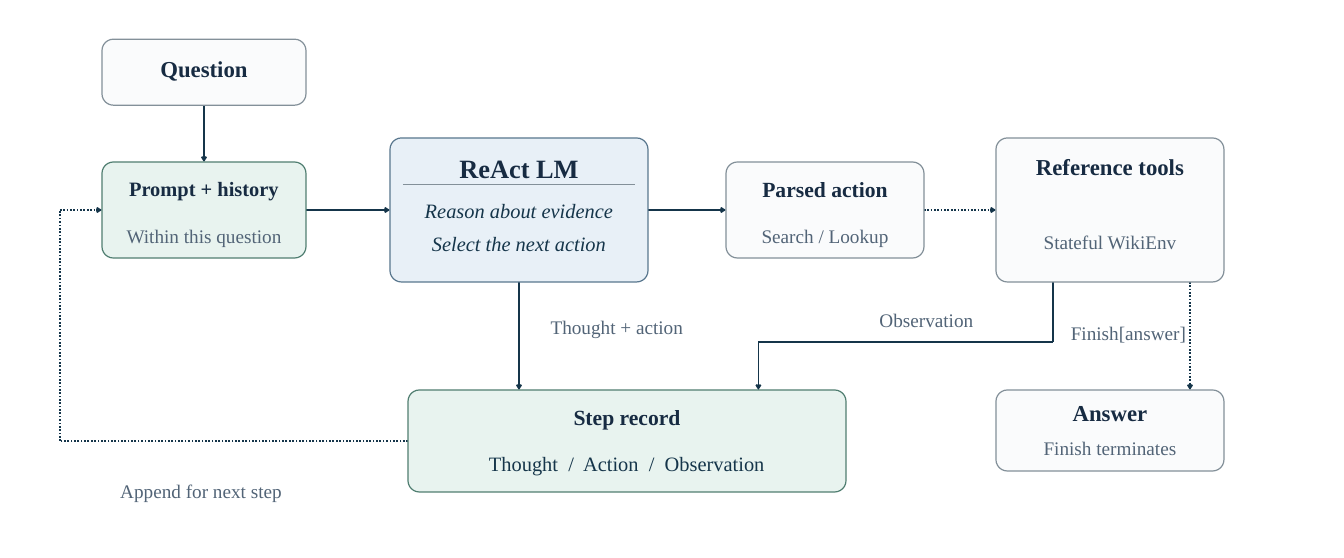
from dataclasses import dataclass
from itertools import pairwise

from lxml import etree
from pptx import Presentation
from pptx.dml.color import RGBColor
from pptx.enum.dml import MSO_LINE
from pptx.enum.shapes import MSO_CONNECTOR, MSO_SHAPE
from pptx.enum.text import MSO_ANCHOR, PP_ALIGN
from pptx.oxml.ns import qn
from pptx.util import Pt

STRAIGHT = MSO_CONNECTOR.STRAIGHT
ROUNDED = MSO_SHAPE.ROUNDED_RECTANGLE
DOTTED = MSO_LINE.ROUND_DOT
MIDDLE = MSO_ANCHOR.MIDDLE
CENTER = PP_ALIGN.CENTER

INK = RGBColor(0x17, 0x2B, 0x42)
FLOW = RGBColor(0x15, 0x35, 0x4A)
MUTED = RGBColor(0x52, 0x64, 0x77)
GRAY = RGBColor(0x83, 0x90, 0x99)
PAPER = RGBColor(0xFA, 0xFB, 0xFC)
GREEN = RGBColor(0x50, 0x7E, 0x71)
MINT = RGBColor(0xE8, 0xF3, 0xEF)
BLUE = RGBColor(0x59, 0x77, 0x8E)
SKY = RGBColor(0xE8, 0xF0, 0xF7)

FONT = "Times New Roman"
CORNER = 14.25
TEXT_INSET = 13.5


@dataclass
class Box:
    left: float
    top: float
    width: float
    height: float

    @property
    def right(self):
        return self.left + self.width

    @property
    def bottom(self):
        return self.top + self.height

    @property
    def center(self):
        return self.left + self.width / 2

    @property
    def middle(self):
        return self.top + self.height / 2


QUESTION = Box(127.5, 49, 255, 82.5)
PROMPT = Box(127.5, 202.5, 255, 120)
MODEL = Box(487.5, 172.5, 322.5, 180)
ACTION = Box(907.5, 202.5, 247.5, 120)
TOOLS = Box(1245, 172.5, 285, 180)
RECORD = Box(510, 487.5, 547.5, 127.5)
ANSWER = Box(1245, 487.5, 285, 101.25)


def add_text(page, center, middle, width, text, size, color, bold=False, italic=False):
    height = size * 1.2
    box = page.shapes.add_textbox(
        Pt(center - width / 2), Pt(middle - height / 2), Pt(width), Pt(height))
    frame = box.text_frame
    frame.margin_left = frame.margin_right = frame.margin_top = frame.margin_bottom = 0
    frame.word_wrap = False
    frame.vertical_anchor = MIDDLE
    frame.text = text
    para = frame.paragraphs[0]
    para.alignment = CENTER
    font = para.runs[0].font
    font.name = FONT
    font.size = Pt(size)
    font.color.rgb = color
    font.bold = bold
    font.italic = italic


def add_line(page, start, end, color=FLOW, weight=2.1, dotted=False, arrow=False):
    line = page.shapes.add_connector(STRAIGHT, *(Pt(value) for value in (*start, *end)))
    line.line.color.rgb = color
    line.line.width = Pt(weight)
    if dotted:
        line.line.dash_style = DOTTED
    if arrow:
        outline = line.line._get_or_add_ln()
        etree.SubElement(outline, qn("a:tailEnd"), type="arrow")
    etree.SubElement(line._element.spPr, qn("a:effectLst"))


def add_route(page, points, dotted=False):
    for start, end in pairwise(points):
        add_line(page, start, end, dotted=dotted, arrow=end == points[-1])


def add_card(page, box, fill, edge, title, title_size, title_middle,
             details=(), size=24, color=MUTED, italic=False):
    card = page.shapes.add_shape(
        ROUNDED, Pt(box.left), Pt(box.top), Pt(box.width), Pt(box.height))
    card.adjustments[0] = CORNER / box.height
    card.shadow.inherit = False
    card.fill.solid()
    card.fill.fore_color.rgb = fill
    card.line.color.rgb = edge
    card.line.width = Pt(1.5)
    width = box.width - 2 * TEXT_INSET
    add_text(page, box.center, box.top + title_middle, width, title, title_size, INK, bold=True)
    for text, middle in details:
        add_text(page, box.center, box.top + middle, width, text, size, color, italic=italic)


def add_model(page, box):
    add_card(page, box, SKY, BLUE, "ReAct LM", 33, 37.5,
             [("Reason about evidence", 91), ("Select the next action", 132)],
             25.5, FLOW, True)
    rule = box.top + 58.5
    add_line(page, (box.left + 16, rule), (box.right - 16, rule), GRAY, 1.05)


def add_cards(page):
    add_card(page, QUESTION, PAPER, GRAY, "Question", 28.5, 37)
    add_card(page, PROMPT, MINT, GREEN, "Prompt + history", 25.5, 33,
             [("Within this question", 92.5)])
    add_model(page, MODEL)
    add_card(page, ACTION, PAPER, GRAY, "Parsed action", 27, 34, [("Search / Lookup", 92.5)])
    add_card(page, TOOLS, PAPER, GRAY, "Reference tools", 28.5, 35, [("Stateful WikiEnv", 130)])
    add_card(page, RECORD, MINT, GREEN, "Step record", 27, 34,
             [("Thought  /  Action  /  Observation", 91.5)], 25.5, FLOW)
    add_card(page, ANSWER, PAPER, GRAY, "Answer", 28.5, 28.5, [("Finish terminates", 72.5)])


def add_routes(page):
    add_route(page, [(QUESTION.center, QUESTION.bottom), (PROMPT.center, PROMPT.top)])
    for source, target in pairwise((PROMPT, MODEL, ACTION, TOOLS)):
        add_route(page, [(source.right, source.middle), (target.left, target.middle)],
                  dotted=target is TOOLS)
    add_route(page, [(MODEL.center, MODEL.bottom), (MODEL.center, RECORD.top)])

    observed, recorded, turn = TOOLS.left + 71.25, RECORD.right - 109.5, 427.5
    add_route(page, [(observed, TOOLS.bottom), (observed, turn),
                     (recorded, turn), (recorded, RECORD.top)])

    loop = PROMPT.left - 52.5
    add_route(page, [(RECORD.left, RECORD.middle), (loop, RECORD.middle),
                     (loop, PROMPT.middle), (PROMPT.left, PROMPT.middle)], dotted=True)

    finish = TOOLS.right - 42.5
    add_route(page, [(finish, TOOLS.bottom), (finish, ANSWER.top)], dotted=True)


def add_labels(page):
    for text, center, middle, width in (
        ("Thought + action", 771, 408, 191.5),
        ("Observation", 1158, 399.5, 142),
        ("Append for next step", 251.25, 613, 232),
        ("Finish[answer]", 1410.5, 416.5, 165.5),
    ):
        add_text(page, center, middle, width, text, 24, MUTED)


def main():
    deck = Presentation()
    deck.slide_width = Pt(1680)
    deck.slide_height = Pt(697.5)
    page = deck.slides.add_slide(deck.slide_layouts[6])
    add_routes(page)
    add_cards(page)
    add_labels(page)
    deck.save("out.pptx")


if __name__ == "__main__":
    main()
